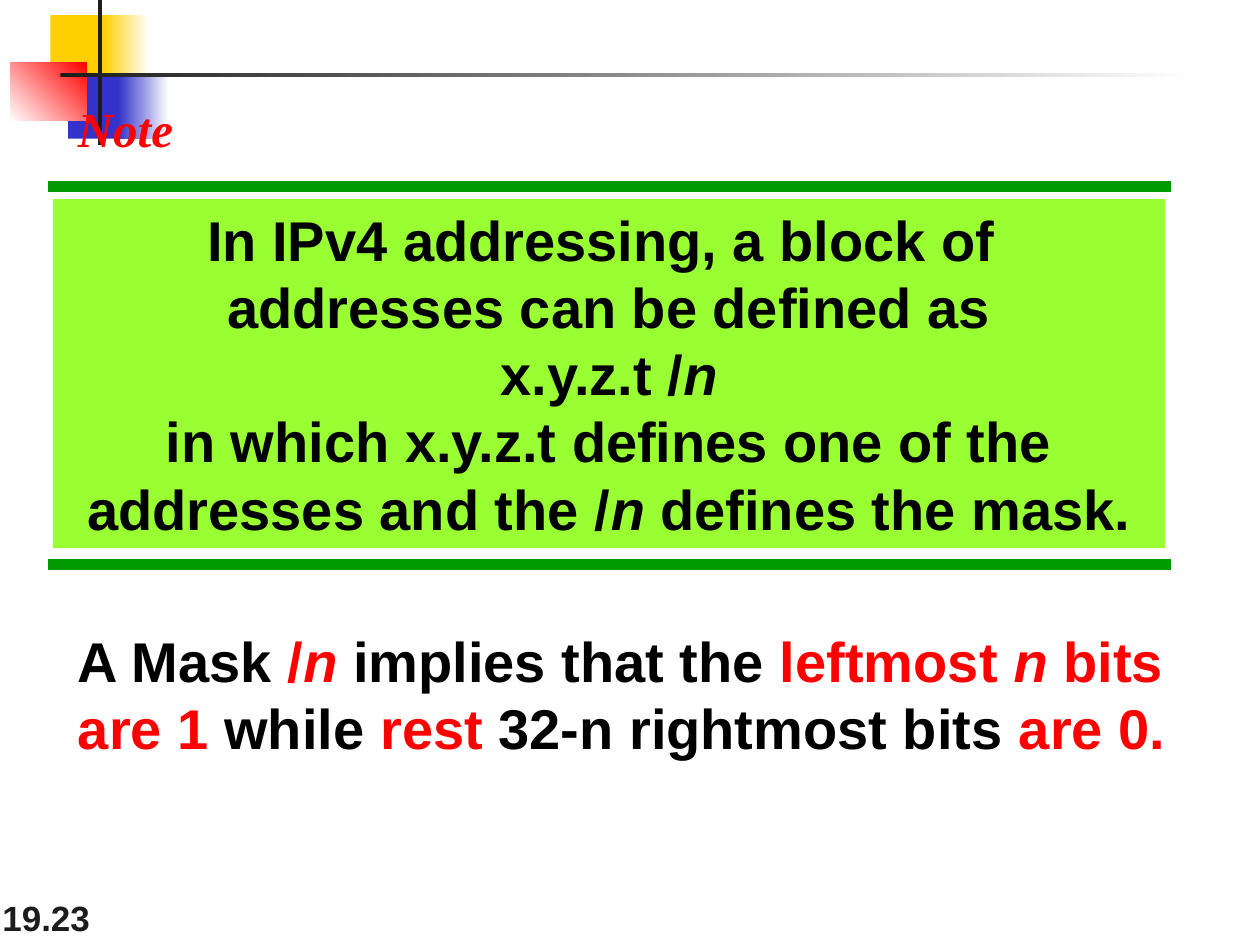
from dataclasses import dataclass

from lxml import etree
from pptx import Presentation
from pptx.dml.color import RGBColor
from pptx.enum.shapes import MSO_CONNECTOR, MSO_SHAPE
from pptx.enum.text import MSO_ANCHOR, MSO_AUTO_SIZE, PP_ALIGN
from pptx.oxml.ns import qn
from pptx.util import Inches, Pt


@dataclass(frozen=True)
class Theme:
    ink: str = "1C1C1C"
    text: str = "000000"
    white: str = "FFFFFF"
    red: str = "FF0000"
    yellow: str = "FFCF01"
    blue: str = "3333CC"
    rule: str = "009900"
    panel: str = "99FF33"
    sans: str = "Arial"
    serif: str = "Times New Roman"
    body: int = 32
    label: int = 28
    number: int = 20
    leading: float = 1.2


T = Theme()
BODY = {"name": T.sans, "size": Pt(T.body), "bold": True, "color": T.text}
LABEL = {"name": T.serif, "size": Pt(T.label), "bold": True, "italic": True, "color": T.red}
NUMBER = {"name": T.sans, "size": Pt(T.number), "bold": True, "color": T.ink}
ITALIC = {"italic": True}
RED = {"color": T.red}
RED_ITALIC = {**RED, **ITALIC}


def add_rect(slide, box, *colors, angle=0):
    sp = slide.shapes.add_shape(MSO_SHAPE.RECTANGLE, *map(Inches, box))
    sp.shadow.inherit = False
    sp.line.fill.background()
    if len(colors) == 1:
        sp.fill.solid()
        sp.fill.fore_color.rgb = RGBColor.from_string(colors[0])
    else:
        sp.fill.gradient()
        sp.fill.gradient_angle = angle
        for stop, color in zip(sp.fill.gradient_stops, colors):
            stop.color.rgb = RGBColor.from_string(color)
    return sp


def add_rule(slide, x, y, width):
    line = slide.shapes.add_connector(
        MSO_CONNECTOR.STRAIGHT, Inches(x), Inches(y), Inches(x + width), Inches(y))
    line.line.color.rgb = RGBColor.from_string(T.rule)
    line.line.width = Pt(6)
    etree.SubElement(line._element.spPr, qn("a:effectLst"))


def write(sp, paragraphs, base, align=PP_ALIGN.LEFT, **frame):
    tf = sp.text_frame
    for name, value in frame.items():
        setattr(tf, name, value)
    for i, runs in enumerate(paragraphs):
        p = tf.paragraphs[0] if i == 0 else tf.add_paragraph()
        p.alignment = align
        p.line_spacing = Pt(round(base["size"].pt * T.leading, 1))
        for text, extra in runs:
            if text == "\n":
                p.add_line_break()
                continue
            r = p.add_run()
            r.text = text
            for name, value in {**base, **extra}.items():
                if name == "color":
                    r.font.color.rgb = RGBColor.from_string(value)
                else:
                    setattr(r.font, name, value)


def add_text(slide, box, paragraphs, base, **frame):
    sp = slide.shapes.add_textbox(*map(Inches, box))
    write(sp, paragraphs, base, **frame)


def add_ornament(slide, x, y):
    add_rect(slide, (x + 0.32, y + 0.12, 0.48, 0.52), T.yellow)
    add_rect(slide, (x + 0.74, y + 0.12, 0.36, 0.52), T.yellow, T.white)
    add_rect(slide, (x + 0.46, y + 0.58, 0.46, 0.52), T.blue)
    add_rect(slide, (x + 0.86, y + 0.58, 0.4, 0.52), T.blue, T.white)
    add_rect(slide, (x, y + 0.5, 0.61, 0.46), T.white, T.red, angle=45)
    add_rect(slide, (x + 0.7, y, 0.03, 1.15), T.ink)
    add_rect(slide, (x + 0.4, y + 0.58, 9, 0.03), T.ink, T.white)


def add_definition(slide, x, y, width, height):
    for rule_y in (y, y + height):
        add_rule(slide, x, rule_y, width)
    panel = add_rect(slide, (x + 0.04, y + 0.1, width - 0.08, 2.77), T.panel)
    write(panel, [
        [("In IPv4 addressing, a block of ", {}), ("\n", {}),
         ("addresses can be defined as", {})],
        [("x.y.z.t /", {}), ("n", ITALIC)],
        [("in which x.y.z.t defines one of the addresses and the /", {}),
         ("n", ITALIC), (" defines the mask.", {})],
    ], BODY, PP_ALIGN.CENTER, word_wrap=True, vertical_anchor=MSO_ANCHOR.TOP,
        auto_size=MSO_AUTO_SIZE.SHAPE_TO_FIT_TEXT)


def add_mask_rule(slide, box):
    add_text(slide, box, [
        [("A Mask ", {}), ("/", RED), ("n", RED_ITALIC), (" implies that the ", {}),
         ("leftmost ", RED), ("n", RED_ITALIC), (" bits", RED)],
        [("are 1", RED), (" while ", {}), ("rest", RED),
         (" 32-n rightmost bits ", {}), ("are 0.", RED)],
    ], BODY, word_wrap=False, auto_size=MSO_AUTO_SIZE.SHAPE_TO_FIT_TEXT)


def main():
    prs = Presentation()
    prs.slide_width, prs.slide_height = Inches(10), Inches(7.5)
    slide = prs.slides.add_slide(prs.slide_layouts[6])
    add_text(slide, (-0.08, 7, 2.08, 0.5), [[("19.23", {})]], NUMBER,
             word_wrap=True, vertical_anchor=MSO_ANCHOR.BOTTOM)
    add_ornament(slide, 0.08, 0)
    add_definition(slide, 0.38, 1.48, 8.91, 3)
    add_text(slide, (0.52, 0.73, 1.1, 0.57), [[("Note", {})]], LABEL,
             word_wrap=True, auto_size=MSO_AUTO_SIZE.NONE)
    add_mask_rule(slide, (0.52, 4.92, 8.95, 1.17))
    prs.save("out.pptx")


if __name__ == "__main__":
    main()
